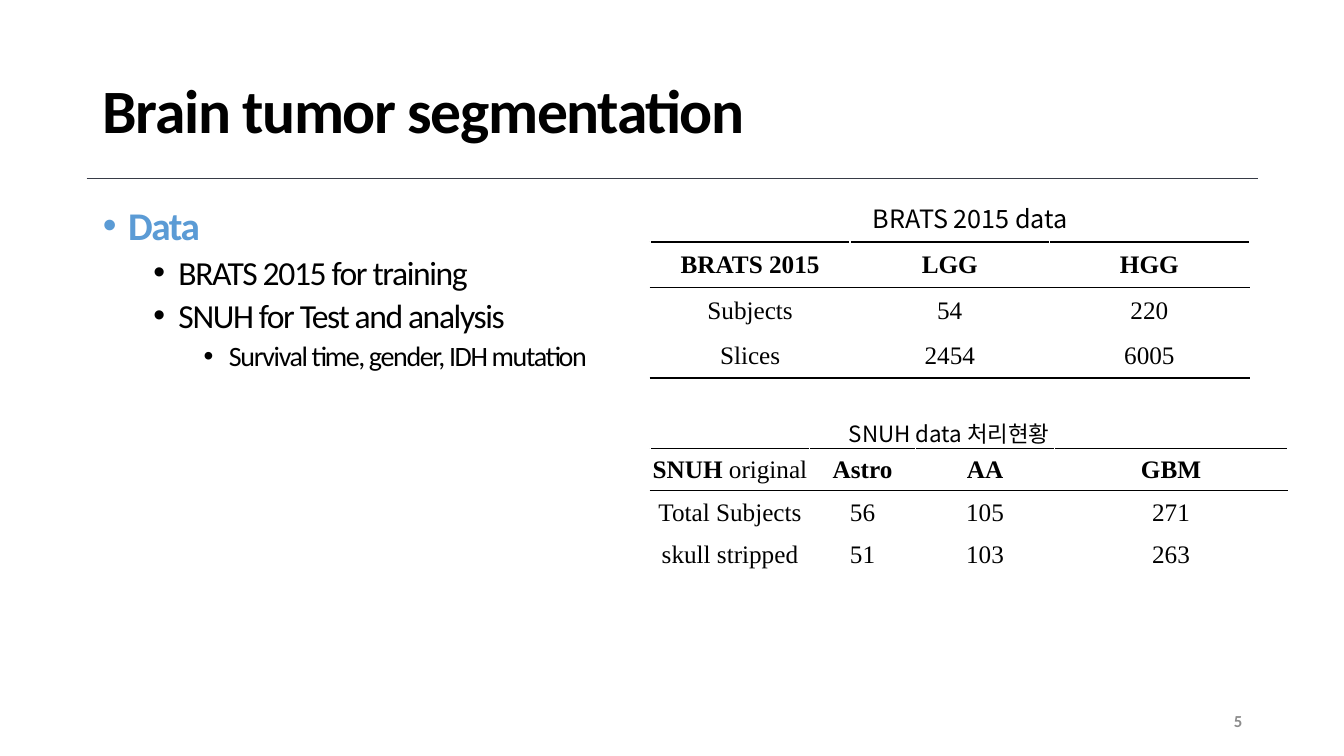
from lxml import etree
from pptx import Presentation
from pptx.dml.color import RGBColor
from pptx.enum import shapes, text
from pptx.oxml import ns
from pptx.util import Inches, Pt

# Content
COLORS = {"black": "000000", "white": "FFFFFF", "blue": "5B9BD5",
          "rule": "373B46", "gray": "8C8C8C"}
TITLE = "Brain tumor segmentation"
BULLETS = [  # level, text
    (0, "Data"),
    (1, "BRATS 2015 for training"),
    (1, "SNUH for Test and analysis"),
    (2, "Survival time, gender, IDH mutation"),
]
LEVELS = [  # font format, space before
    ({"size": 28, "bold": True, "color": "blue"}, 10),
    ({"size": 24, "bold": False, "color": "black"}, 5),
    ({"size": 20, "bold": False, "color": "black"}, 5),
]
TABLES = [
    {"top": 4.45, "cols": [1.58, 1.05, 1.38, 2.31], "row": 0.42,
     "lines": ["black", "black", "white", "white"],
     "rows": [["SNUH original", "Astro", "AA", "GBM"],
              ["Total Subjects", "56", "105", "271"],
              ["skull stripped", "51", "103", "263"]]},
    {"top": 2.4, "cols": [1.98] * 3, "row": 0.45,
     "lines": ["black", "black", "white", "black"],
     "rows": [["BRATS 2015", "LGG", "HGG"],
              ["Subjects", "54", "220"],
              ["Slices", "2454", "6005"]]},
]
LABELS = [  # text, box, format, alignment, anchor
    ("5", (9.42, 6.95, 3, 0.4),
     {"size": 12, "bold": True, "color": "gray", "spacing": -100}, "RIGHT", "MIDDLE"),
    ("BRATS 2015 data", (8.56, 1.97, 2.57, 0.4),
     {"size": 18, "name": "Noto Sans CJK KR"}, "LEFT", "TOP"),
    ("SNUH data 처리현황", (8.32, 4.12, 2.57, 0.37),
     {"size": 16, "name": "Noto Sans CJK KR"}, "LEFT", "TOP"),
]
TABLE_LEFT = 6.45


def rgb(name):
    return RGBColor.from_string(COLORS[name])


def add_run(p, words, size, name="Calibri", bold=False, color="black", spacing=0):
    r = p.add_run()
    r.text = words
    for key, value in {"size": Pt(size), "name": name, "bold": bold}.items():
        setattr(r.font, key, value)
    r.font.color.rgb = rgb(color)
    rpr = r.font._element
    etree.SubElement(rpr, ns.qn("a:ea")).set("typeface", name)
    if spacing:
        rpr.set("spc", str(spacing))


def place(sp, box):
    for key, value in zip(("left", "top", "width", "height"), box):
        setattr(sp, key, Inches(value))


def add_bullet(p, indent):
    ppr = p._p.get_or_add_pPr()
    ppr.set("marL", str(Inches(indent)))
    ppr.set("indent", str(Inches(-0.25)))
    etree.SubElement(ppr, ns.qn("a:buFont")).set("typeface", "Arial")
    etree.SubElement(ppr, ns.qn("a:buChar")).set("char", "•")


def set_borders(cell, top, bottom):
    tcpr = cell._tc.get_or_add_tcPr()
    sides = {"lnL": "white", "lnR": "white", "lnT": top, "lnB": bottom}
    for i, (side, color) in enumerate(sides.items()):
        ln = etree.Element(ns.qn("a:" + side), w=str(Pt(1)))
        fill = etree.SubElement(ln, ns.qn("a:solidFill"))
        etree.SubElement(fill, ns.qn("a:srgbClr")).set("val", COLORS[color])
        tcpr.insert(i, ln)


def add_data_table(slide, spec):
    rows, cols = spec["rows"], spec["cols"]
    frame = slide.shapes.add_table(
        len(rows), len(cols), Inches(TABLE_LEFT), Inches(spec["top"]),
        Inches(sum(cols)), Inches(spec["row"] * len(rows)))
    table = frame.table
    table.horz_banding = False
    for column, width in zip(table.columns, cols):
        column.width = Inches(width)
    for i, values in enumerate(rows):
        table.rows[i].height = Inches(spec["row"])
        for j, value in enumerate(values):
            cell = table.cell(i, j)
            cell.fill.background()
            cell.vertical_anchor = text.MSO_ANCHOR.MIDDLE
            for side in ("left", "right", "top"):
                setattr(cell, "margin_" + side, Inches(0.01))
            cell.margin_bottom = 0
            p = cell.text_frame.paragraphs[0]
            p.alignment = text.PP_ALIGN.CENTER
            # "original" is the one header word in regular weight
            head, mark, _ = value.partition(" original")
            add_run(p, head, 18, "Times New Roman", bold=i == 0)
            if mark:
                add_run(p, mark, 18, "Times New Roman")
            set_borders(cell, *spec["lines"][i:i + 2])


prs = Presentation()
prs.slide_width, prs.slide_height = Inches(13.33), Inches(7.5)
slide = prs.slides.add_slide(prs.slide_layouts[1])

# Title and rule
title = slide.shapes.title
place(title, (0.92, 0.4, 11.5, 1.45))
tf = title.text_frame
tf.auto_size = text.MSO_AUTO_SIZE.NONE
tf.vertical_anchor = text.MSO_ANCHOR.MIDDLE
p = tf.paragraphs[0]
p.alignment, p.line_spacing = text.PP_ALIGN.LEFT, 0.9
add_run(p, TITLE, 44, bold=True, spacing=-100)

rule = slide.shapes.add_connector(shapes.MSO_CONNECTOR.STRAIGHT, Inches(0.86),
                                  Inches(1.77), Inches(12.48), Inches(1.77))
rule.line.color.rgb, rule.line.width = rgb("rule"), Pt(1)
etree.SubElement(rule._element.spPr, ns.qn("a:effectLst"))

# Bullet list
body = slide.placeholders[1]
place(body, (0.92, 2, 5.21, 2.3))
tf = body.text_frame
tf.auto_size = text.MSO_AUTO_SIZE.NONE
for i, (level, words) in enumerate(BULLETS):
    p = tf.add_paragraph() if i else tf.paragraphs[0]
    style, before = LEVELS[level]
    p.level, p.line_spacing, p.space_before = level, 0.9, Pt(before)
    add_bullet(p, 0.25 + 0.5 * level)
    add_run(p, words, spacing=-100, **style)

# Tables
for spec in TABLES:
    add_data_table(slide, spec)

# Captions and page number
for words, box, style, align, anchor in LABELS:
    sp = slide.shapes.add_textbox(*map(Inches, box))
    tf = sp.text_frame
    tf.word_wrap = True
    tf.vertical_anchor = getattr(text.MSO_ANCHOR, anchor)
    p = tf.paragraphs[0]
    p.alignment = getattr(text.PP_ALIGN, align)
    add_run(p, words, **style)

prs.save("out.pptx")
